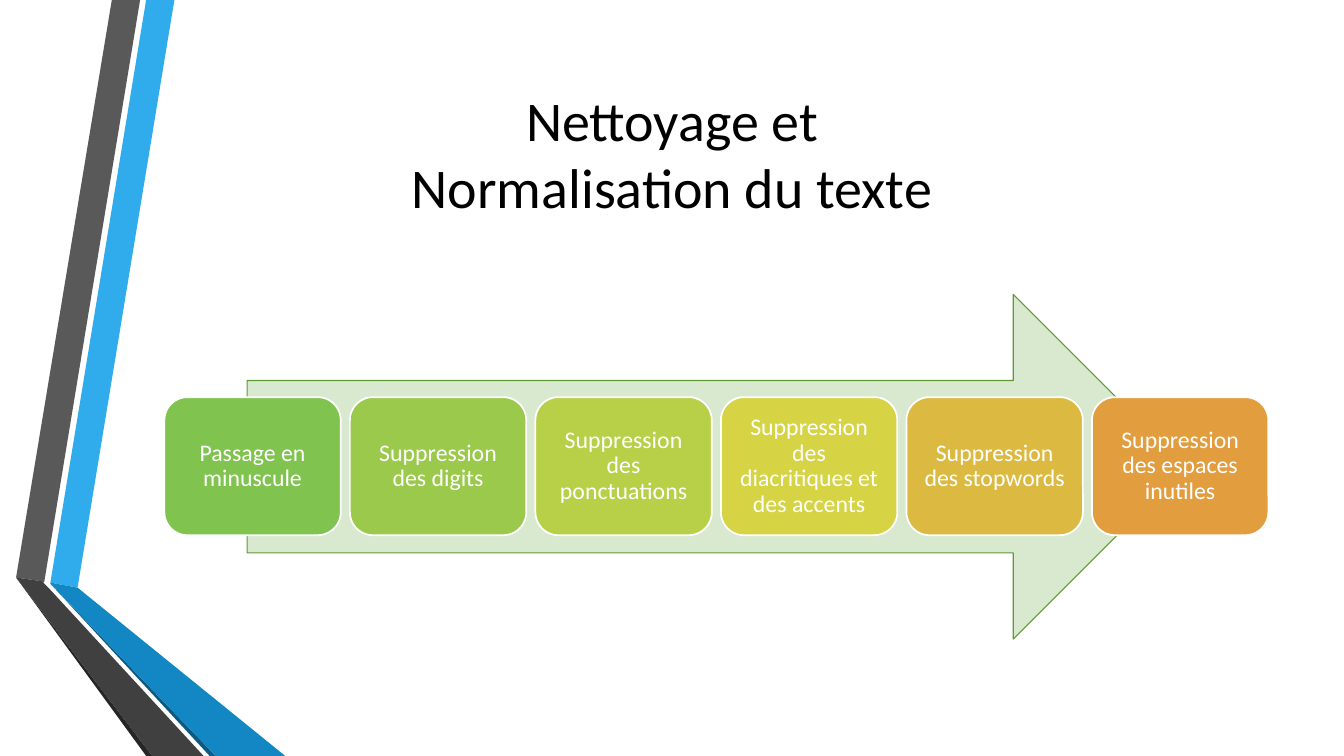
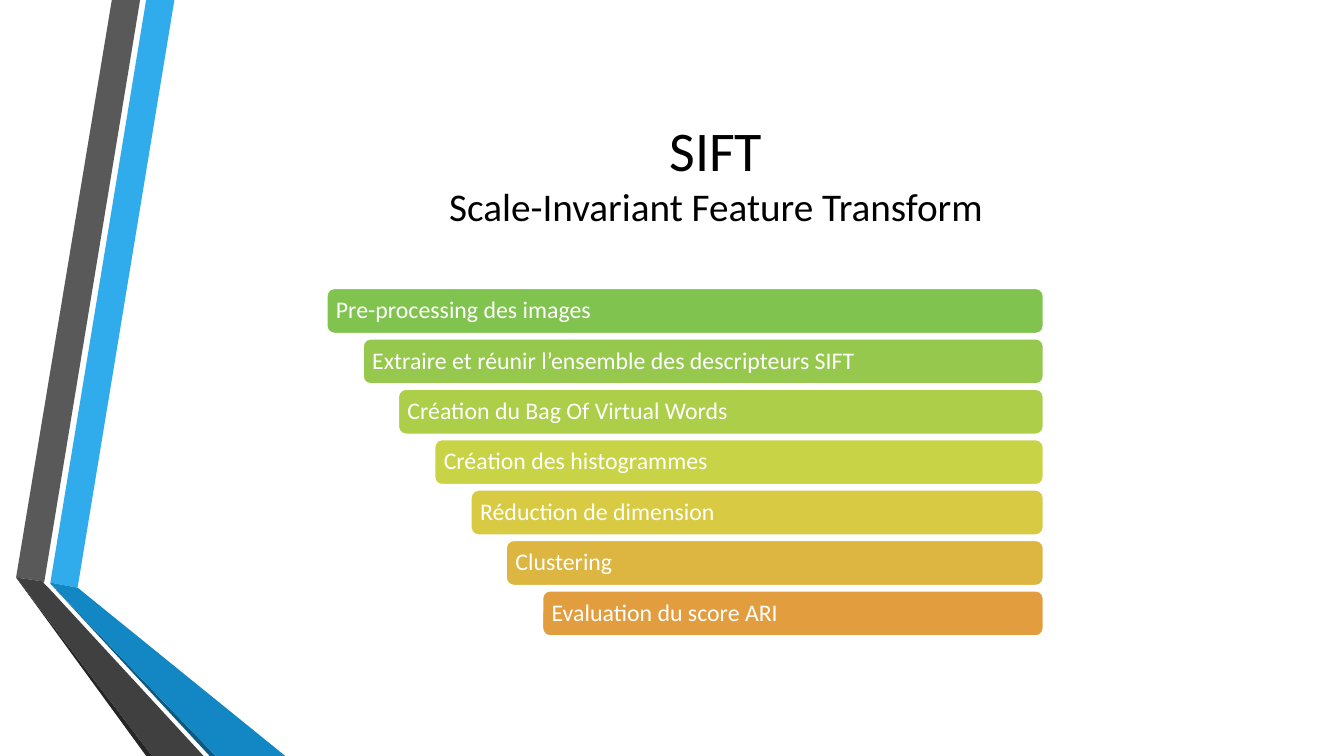
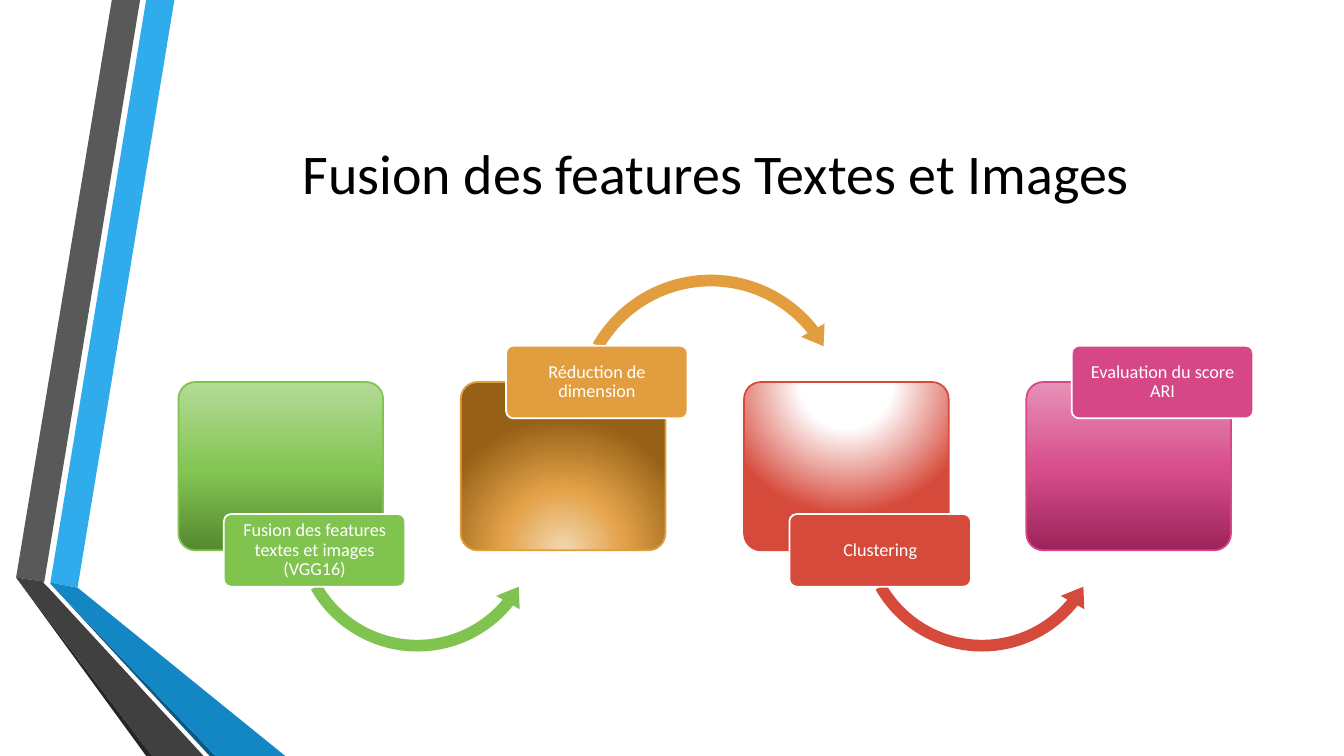
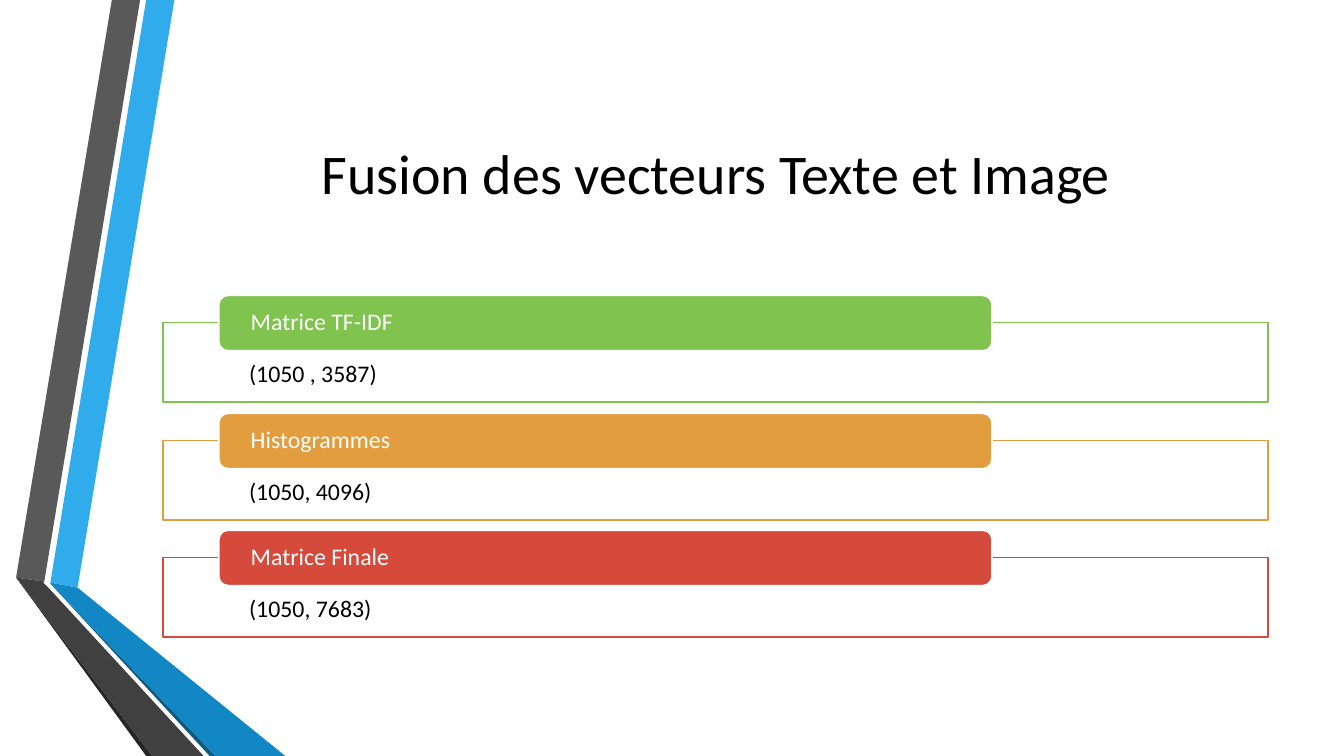
"""Build four slides on text cleaning, SIFT and the fusion of text and image features."""
from lxml import etree
from pptx import Presentation
from pptx import util as u
from pptx.dml.color import RGBColor
from pptx.enum import shapes, text
from pptx.oxml.ns import qn

PX = 9144


class Theme:
    font = "Calibri"
    title, subtitle, body, label = 40, 28, 17, 13
    line = 1.25
    black, white = "000000", "FFFFFF"
    green, orange, red, pink = "80C34F", "E29D3E", "D64A3B", "D64787"
    arrow, arrow_line = "D8E9D0", "5F9934"
    steps = ["80C34F", "9AC94B", "B8D048", "D6D344", "DCBA41", "E29D3E"]
    bars = ["80C34F", "95C84C", "ADCE49", "C8D346", "D8CB43", "DDB541", "E29D3E"]
    bands = {
        "30ACEC": [(50, 578), (77, 583), (173, 0), (145, 0)],
        "595959": [(139, 0), (111, 0), (16, 573), (44, 577)],
        "262626": [(16, 573), (145, 750), (151, 750)],
        "0C5A82": [(50, 579), (208, 750), (214, 750)],
        "1287C3": [(50, 579), (214, 750), (283, 750), (77, 583), (50, 578)],
        "404040": [(202, 750), (48, 583), (43, 578), (44, 577), (16, 573), (151, 750)],
    }


def add_title(page, *lines):
    """Fill the title placeholder with (wording, size) lines."""
    frame = page.shapes.title.text_frame
    frame.auto_size = text.MSO_AUTO_SIZE.NONE
    frame.vertical_anchor = text.MSO_ANCHOR.MIDDLE
    para = frame.paragraphs[0]
    para.alignment = text.PP_ALIGN.CENTER
    for index, (wording, size) in enumerate(lines):
        if index:
            para.add_line_break()
        span = para.add_run()
        span.text = wording
        span.font.color.rgb = RGBColor.from_string(Theme.black)
        for name, value in {"name": Theme.font, "size": u.Pt(size)}.items():
            setattr(span.font, name, value)


def add_box(page, kind, at, fill, line=None, width=Theme.line, adjust=(), wording="",
            size=Theme.body, color=Theme.white, align="LEFT", anchor="MIDDLE", insets=(7, 7, 7, 7)):
    """Add a preset shape with its fill, outline and wording."""
    box = page.shapes.add_shape(kind, *[value * PX for value in at])
    box.shadow.inherit = False
    box.fill.solid()
    box.fill.fore_color.rgb = RGBColor.from_string(fill)
    if line:
        box.line.color.rgb = RGBColor.from_string(line)
        box.line.width = u.Pt(width)
    else:
        box.line.fill.background()
    for index, percent in enumerate(adjust):
        box.adjustments[index] = percent / 100
    if wording:
        frame = box.text_frame
        left, top, right, bottom = [value * PX for value in insets]
        frame_format = {"word_wrap": True, "vertical_anchor": text.MSO_ANCHOR[anchor],
                        "margin_left": left, "margin_top": top,
                        "margin_right": right, "margin_bottom": bottom}
        for name, value in frame_format.items():
            setattr(frame, name, value)
        para = frame.paragraphs[0]
        para.alignment = text.PP_ALIGN[align]
        para.line_spacing = 0.9
        span = para.add_run()
        span.text = wording
        span.font.color.rgb = RGBColor.from_string(color)
        for name, value in {"name": Theme.font, "size": u.Pt(size)}.items():
            setattr(span.font, name, value)
    return box


preset = shapes.MSO_SHAPE
deck = Presentation()
deck.slide_width, deck.slide_height = 1333 * PX, 750 * PX
layout = deck.slide_layouts[5]
title_place = dict(zip(("left", "top", "width", "height"), (162, 75, 1096, 192)))
for name, value in title_place.items():
    setattr(layout.placeholders[0], name, value * PX)

cleaning, sift, features, vectors = [deck.slides.add_slide(layout) for _ in range(4)]

for position, (color, points) in enumerate(Theme.bands.items()):
    builder = cleaning.shapes.build_freeform(*points[0], scale=PX)
    builder.add_line_segments(points[1:], close=True)
    band = builder.convert_to_shape()
    band.shadow.inherit = False
    band.fill.solid()
    band.fill.fore_color.rgb = RGBColor.from_string(color)
    band.line.fill.background()
    layout.shapes.element.insert(2 + position, band.element)

add_title(cleaning, ("Nettoyage et Normalisation du texte", Theme.title))
for name, value in zip(title_place, (376, 69, 581, 165)):
    setattr(cleaning.shapes.title, name, value * PX)
add_box(cleaning, preset.RIGHT_ARROW, (245, 292, 931, 342), Theme.arrow, Theme.arrow_line, 0.75)
steps = ["Passage en minuscule", "Suppression des digits", "Suppression des ponctuations",
         "Suppression des diacritiques et des accents", "Suppression des stopwords",
         "Suppression des espaces inutiles"]
for index, (wording, color) in enumerate(zip(steps, Theme.steps)):
    add_box(cleaning, preset.ROUNDED_RECTANGLE, (163 + 184 * index, 394, 175, 137), color,
            Theme.white, wording=wording, align="CENTER")

add_title(sift, ("SIFT", Theme.title), ("Scale-Invariant Feature Transform", Theme.subtitle))
stages = ["Pre-processing des images", "Extraire et réunir l’ensemble des descripteurs SIFT",
          "Création du Bag Of Virtual Words", "Création des histogrammes",
          "Réduction de dimension", "Clustering", "Evaluation du score ARI"]
for index, (wording, color) in enumerate(zip(stages, Theme.bars)):
    left = 324 + round(214 * index / 6)
    add_box(sift, preset.ROUNDED_RECTANGLE, (left, 286 + 50 * index, 1035 - left, 45), color,
            Theme.white, wording=wording)

add_title(features, ("Fusion des features Textes et Images", Theme.title))
under = (preset.LEFT_CIRCULAR_ARROW, 396, 258, (4.5, 566.7, 2342.2, 9024.5, 5.2))
over = (preset.CIRCULAR_ARROW, 265, 284, (4.1, 509.8, 19314.7, 12575.5, 4.7))
upward = ("lin", {"ang": "16200000", "scaled": "0"}, None)
from_below = ("path", {"path": "circle"}, (50, 130, 50, -30))
from_above = ("path", {"path": "circle"}, (50, -80, 50, 180))
phases = [
    ("Fusion des features textes et images (VGG16)", Theme.green, 510, under, 285, upward,
     {0: "55892F", 48: "84C554", 100: "B3DB95"}),
    ("Réduction de dimension", Theme.orange, 343, over, 563, from_below,
     {0: "F3D8B2", 46: "E3A248", 100: "966117"}),
    ("Clustering", Theme.red, 510, under, 845, from_above,
     {0: "FFFFFF", 35: "FFFFFF", 100: "D64A3B"}),
    ("Evaluation du score ARI", Theme.pink, 343, None, 0, upward,
     {0: "9C2359", 48: "D74D8B", 100: "E691B7"}),
]
for index, (wording, color, top, arrow, arrow_left, shading, stops) in enumerate(phases):
    left = 177 + round(841 * index / 3)
    panel = add_box(features, preset.ROUNDED_RECTANGLE, (left, 379, 203, 167), color, color, adjust=[10])
    panel.fill.gradient()
    gradient = panel.element.spPr.find(qn("a:gradFill"))
    for child in list(gradient):
        gradient.remove(child)
    stop_list = etree.SubElement(gradient, qn("a:gsLst"))
    for percent, stop_color in stops.items():
        stop = etree.SubElement(stop_list, qn("a:gs"), pos=str(percent * 1000))
        etree.SubElement(stop, qn("a:srgbClr"), val=stop_color)
    tag, attributes, focus = shading
    direction = etree.SubElement(gradient, qn("a:" + tag), attributes)
    if focus:
        sides = {side: str(percent * 1000) for side, percent in zip("ltrb", focus)}
        etree.SubElement(direction, qn("a:fillToRect"), sides)
    if arrow:
        kind, arrow_top, side, adjust = arrow
        add_box(features, kind, (arrow_left, arrow_top, side, side), color, adjust=adjust)
    add_box(features, preset.ROUNDED_RECTANGLE, (left + 45, top, 180, 72), color, Theme.white,
            adjust=[10], wording=wording, size=Theme.label, align="CENTER", insets=(3, 2, 3, 2))

add_title(vectors, ("Fusion des vecteurs Texte et Image", Theme.title))
matrices = [("Matrice TF-IDF", "(1050 , 3587)", Theme.green),
            ("Histogrammes", "(1050, 4096)", Theme.orange),
            ("Matrice Finale", "(1050, 7683)", Theme.red)]
for index, (heading, dimensions, color) in enumerate(matrices):
    top = 320 + round(116.6 * index)
    frame_box = add_box(vectors, preset.RECTANGLE, (162, top, 1096, 79), Theme.white, color,
                        wording=dimensions, color=Theme.black, anchor="TOP", insets=(85, 39, 85, 13))
    fill_color = frame_box.element.spPr.find(qn("a:solidFill"))[0]
    etree.SubElement(fill_color, qn("a:alpha"), val="90000")
    add_box(vectors, preset.ROUNDED_RECTANGLE, (217, top - 27, 767, 55), color, Theme.white,
            wording=heading, insets=(29, 0, 29, 0))

deck.save("out.pptx")
